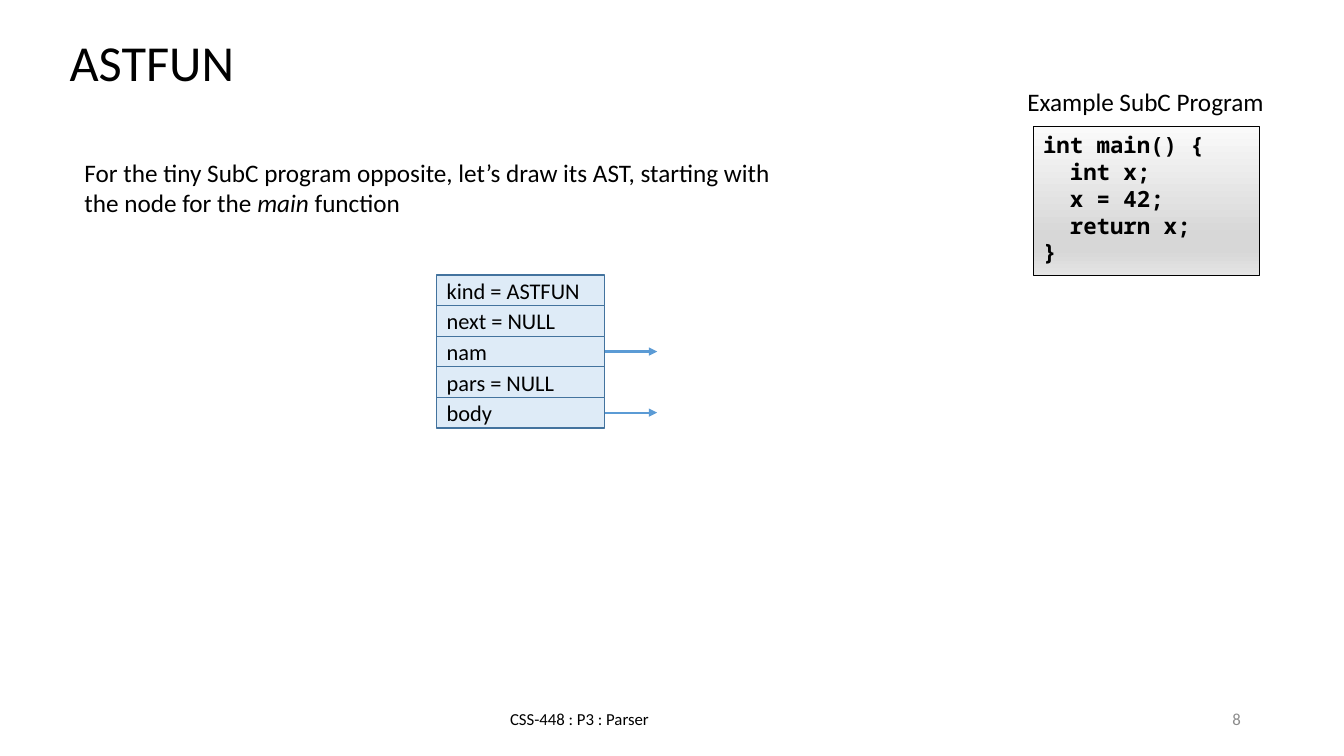
import lxml.etree
import pptx
import pptx.dml.color
import pptx.enum.shapes
import pptx.enum.text
import pptx.oxml.ns
import pptx.util

WIDTH, HEIGHT = pptx.util.Inches(13.333), pptx.util.Inches(7.5)
COLUMNS, ROWS = 40, 25
COLORS = {
    "text": "000000",
    "number": "8C8C8C",
    "field": "DEEBF7",
    "field_line": "43739E",
    "arrow": "5B9BD5",
}
CODE_STOPS = [(0, "FAFAFA"), (74, "D7D7D7"), (83, "D7D7D7"), (100, "E4E4E4")]
CODE_LINES = ["int main() {", "  int x;", "  x = 42;", "  return x;", "}"]
NODE_FIELDS = ["kind = ASTFUN", "next = NULL", "nam", "pars = NULL", "body"]
POINTER_FIELDS = {"nam", "body"}
NODE_LEFT, NODE_TOP, NODE_WIDTH, FIELD_HEIGHT = 13, 9.1, 5, 1.01
ARROW_LENGTH = 1.56
ALIGN = pptx.enum.text.PP_ALIGN
ANCHOR = pptx.enum.text.MSO_ANCHOR


def across(columns):
    """Return the length of a number of grid columns."""
    return round(WIDTH * columns / COLUMNS)


def down(rows):
    """Return the length of a number of grid rows."""
    return round(HEIGHT * rows / ROWS)


def area(left, top, width, height):
    """Return the position and size of a block of grid cells."""
    return across(left), down(top), across(width), down(height)


def rgb(name):
    """Return a named colour."""
    return pptx.dml.color.RGBColor.from_string(COLORS[name])


def write(shape, pieces, size, color="text", align=ALIGN.LEFT,
          anchor=ANCHOR.MIDDLE, face="Calibri", bold=False):
    """Fill a shape with text and format every run."""
    frame = shape.text_frame
    frame.text = pieces
    frame.word_wrap = True
    frame.vertical_anchor = anchor
    for para in frame.paragraphs:
        para.alignment = align
        for span in para.runs:
            span.font.name = face
            span.font.size = pptx.util.Pt(size)
            span.font.bold = bold
            span.font.color.rgb = rgb(color)


def add_label(page, place, text, size, **style):
    """Add a text box."""
    box = page.shapes.add_textbox(*area(*place))
    write(box, text, size, **style)
    return box


def add_box(page, place, line_color, line_width):
    """Add an outlined rectangle without a shadow."""
    box = page.shapes.add_shape(
        pptx.enum.shapes.MSO_SHAPE.RECTANGLE, *area(*place))
    box.shadow.inherit = False
    box.line.color.rgb = rgb(line_color)
    box.line.width = pptx.util.Pt(line_width)
    return box


def add_title(page, text):
    """Place the title in its placeholder."""
    title = page.shapes.title
    title.left, title.top, title.width, title.height = area(1.77, 0.97, 9, 2.4)
    write(title, text, 36)
    title.text_frame.paragraphs[0].line_spacing = 0.9


def add_intro(page):
    """Add the introduction with the function name in italics."""
    box = add_label(page, (2.22, 5.03, 22, 2.37),
                    "For the tiny SubC program opposite, let’s draw its AST, "
                    "starting with the node for the ", 18, anchor=ANCHOR.TOP)
    para = box.text_frame.paragraphs[0]
    for text, italic in (("main", True), (" function", False)):
        span = para.add_run()
        span.text = text
        span.font.name = "Calibri"
        span.font.size = pptx.util.Pt(18)
        span.font.italic = italic
        span.font.color.rgb = rgb("text")


def add_arrow(page, left, top):
    """Add a pointer arrow to the right."""
    arrow = page.shapes.add_connector(
        pptx.enum.shapes.MSO_CONNECTOR.STRAIGHT,
        across(left), down(top), across(left + ARROW_LENGTH), down(top))
    arrow.line.color.rgb = rgb("arrow")
    arrow.line.width = pptx.util.Pt(1.5)
    qn = pptx.oxml.ns.qn
    lxml.etree.SubElement(arrow.line._get_or_add_ln(), qn("a:tailEnd"),
                          type="triangle")
    lxml.etree.SubElement(arrow._element.spPr, qn("a:effectLst"))


def add_node(page):
    """Stack the fields of the tree node and draw its pointers."""
    for index, field in enumerate(NODE_FIELDS):
        top = NODE_TOP + index * FIELD_HEIGHT
        box = add_box(page, (NODE_LEFT, top, NODE_WIDTH, FIELD_HEIGHT),
                      "field_line", 1)
        box.fill.solid()
        box.fill.fore_color.rgb = rgb("field")
        write(box, field, 16)
        if field in POINTER_FIELDS:
            add_arrow(page, NODE_LEFT + NODE_WIDTH, top + FIELD_HEIGHT / 2)


def add_code(page):
    """Add the program listing on a grey gradient."""
    box = add_box(page, (30.75, 4.17, 6.75, 4.93), "text", 0.75)
    box.fill.gradient()
    box.fill.gradient_angle = 270
    qn = pptx.oxml.ns.qn
    stops = box._element.spPr.find(".//" + qn("a:gsLst"))
    for stop in list(stops):
        stops.remove(stop)
    for percent, color in CODE_STOPS:
        stop = lxml.etree.SubElement(stops, qn("a:gs"), pos=str(percent * 1000))
        lxml.etree.SubElement(stop, qn("a:srgbClr"), val=color)
    write(box, "\n".join(CODE_LINES), 16, anchor=ANCHOR.TOP,
          face="Noto Sans Mono", bold=True)


def main():
    """Build the slide and save it."""
    deck = pptx.Presentation()
    deck.slide_width, deck.slide_height = WIDTH, HEIGHT
    page = deck.slides.add_slide(deck.slide_layouts.get_by_name("Title Only"))
    add_title(page, "ASTFUN")
    add_label(page, (10.5, 23.1, 13.5, 1.33), "CSS-448 : P3 : Parser", 12,
              align=ALIGN.CENTER)
    add_label(page, (28.23, 23.1, 9, 1.33), "8", 12, color="number",
              align=ALIGN.RIGHT)
    add_node(page)
    add_intro(page)
    add_code(page)
    add_label(page, (29.97, 2.7, 8.25, 1.33), "Example SubC Program", 18,
              align=ALIGN.CENTER, anchor=ANCHOR.TOP)
    deck.save("out.pptx")


if __name__ == "__main__":
    main()
